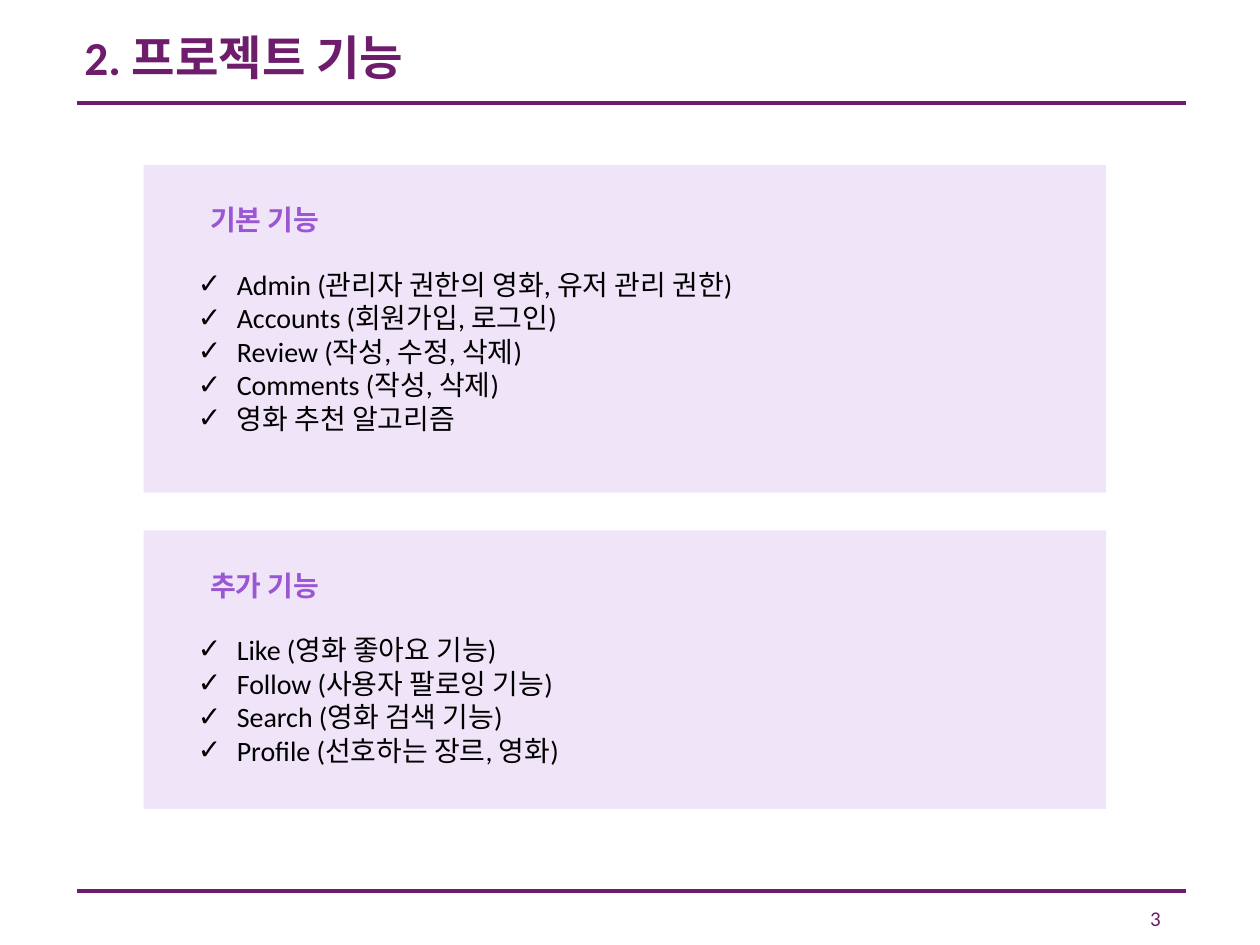
import pptx
import pptx.dml.color
import pptx.enum.shapes
import pptx.enum.text
import pptx.oxml
import pptx.oxml.ns
import pptx.util

Inches = pptx.util.Inches
ANCHOR = pptx.enum.text.MSO_ANCHOR
ALIGN = pptx.enum.text.PP_ALIGN

FONT = "Calibri"
PLUM = "6D1D6B"
VIOLET = "9B57D3"
LILAC = "D7BCED"
BLACK = "000000"

RULE_LEFT, RULE_RIGHT = 0.61, 9.41
PANEL_LEFT, PANEL_WIDTH = 1.14, 7.64
HEADING_OFFSET, LIST_OFFSET = 0.25, 0.76
INDENT = 0.31

SECTIONS = [
    ("기본 기능", 1.31, 2.6, [
        "Admin (관리자 권한의 영화, 유저 관리 권한)",
        "Accounts (회원가입, 로그인)",
        "Review (작성, 수정, 삭제)",
        "Comments (작성, 삭제)",
        "영화 추천 알고리즘",
    ]),
    ("추가 기능", 4.21, 2.21, [
        "Like (영화 좋아요 기능)",
        "Follow (사용자 팔로잉 기능)",
        "Search (영화 검색 기능)",
        "Profile (선호하는 장르, 영화)",
    ]),
]


def color(value):
    return pptx.dml.color.RGBColor.from_string(value)


def drawing_xml(tag, attributes=""):
    namespace = pptx.oxml.ns.nsdecls("a")
    return pptx.oxml.parse_xml(f"<a:{tag} {namespace} {attributes}/>")


def place(shape, left, top, width, height):
    shape.left, shape.top = Inches(left), Inches(top)
    shape.width, shape.height = Inches(width), Inches(height)


def add_run(paragraph, text, size, hue, bold=False):
    run = paragraph.add_run()
    run.text = text
    run.font.name = FONT
    run.font.size = pptx.util.Pt(size)
    run.font.bold = bold
    run.font.color.rgb = color(hue)


def set_title(slide, text):
    title = slide.shapes.title
    place(title, 0.57, 0.2, 8.92, 0.55)
    frame = title.text_frame
    frame.auto_size = pptx.enum.text.MSO_AUTO_SIZE.NONE
    frame.vertical_anchor = ANCHOR.MIDDLE
    paragraph = frame.paragraphs[0]
    paragraph.alignment = ALIGN.LEFT
    paragraph.line_spacing = 0.9
    add_run(paragraph, text, 27, PLUM, bold=True)


def add_rule(slide, top):
    rule = slide.shapes.add_connector(
        pptx.enum.shapes.MSO_CONNECTOR.STRAIGHT,
        Inches(RULE_LEFT), Inches(top), Inches(RULE_RIGHT), Inches(top))
    rule.line.color.rgb = color(PLUM)
    rule.line.width = pptx.util.Pt(2.25)
    rule.element.spPr.append(drawing_xml("effectLst"))


def add_label(slide, box, text, size, hue, bold=False, align=ALIGN.LEFT,
              anchor=ANCHOR.TOP):
    label = slide.shapes.add_textbox(*map(Inches, box))
    frame = label.text_frame
    frame.word_wrap = True
    frame.vertical_anchor = anchor
    paragraph = frame.paragraphs[0]
    paragraph.alignment = align
    add_run(paragraph, text, size, hue, bold)


def add_panel(slide, top, height):
    """Add a translucent panel behind the placeholders."""
    panel = slide.shapes.add_shape(
        pptx.enum.shapes.MSO_SHAPE.RECTANGLE, Inches(PANEL_LEFT),
        Inches(top), Inches(PANEL_WIDTH), Inches(height))
    panel.shadow.inherit = False
    panel.line.fill.background()
    panel.fill.solid()
    panel.fill.fore_color.rgb = color(LILAC)
    fill_color = panel.element.spPr.find(".//" + pptx.oxml.ns.qn("a:srgbClr"))
    fill_color.append(drawing_xml("alpha", 'val="39000"'))
    slide.shapes.element.insert(2, panel.element)


def fill_checklist(placeholder, top, items):
    place(placeholder, 1.47, top, 7.06, 1.45)
    frame = placeholder.text_frame
    frame.auto_size = pptx.enum.text.MSO_AUTO_SIZE.NONE
    frame.vertical_anchor = ANCHOR.TOP
    for index, item in enumerate(items):
        paragraph = frame.add_paragraph() if index else frame.paragraphs[0]
        paragraph.space_before = pptx.util.Pt(0)
        properties = paragraph._p.get_or_add_pPr()
        properties.set("marL", str(Inches(INDENT)))
        properties.set("indent", str(-Inches(INDENT)))
        properties.append(drawing_xml("buChar", 'char="✓"'))
        add_run(paragraph, item, 16, BLACK)


def main():
    presentation = pptx.Presentation()
    presentation.slide_width = Inches(10)
    presentation.slide_height = Inches(7.5)
    two_content = presentation.slide_layouts[3]
    slide = presentation.slides.add_slide(two_content)

    set_title(slide, "2. 프로젝트 기능")
    for top in (0.82, 7.07):
        add_rule(slide, top)
    for number, (heading, top, height, items) in enumerate(SECTIONS, start=1):
        add_panel(slide, top, height)
        add_label(slide, (1.57, top + HEADING_OFFSET, 5.83, 0.37), heading,
                  16, VIOLET, bold=True)
        fill_checklist(slide.placeholders[number], top + LIST_OFFSET, items)
    add_label(slide, (7.06, 7.16, 2.25, 0.25), "3", 12, PLUM,
              align=ALIGN.RIGHT, anchor=ANCHOR.MIDDLE)

    presentation.save("out.pptx")


if __name__ == "__main__":
    main()
